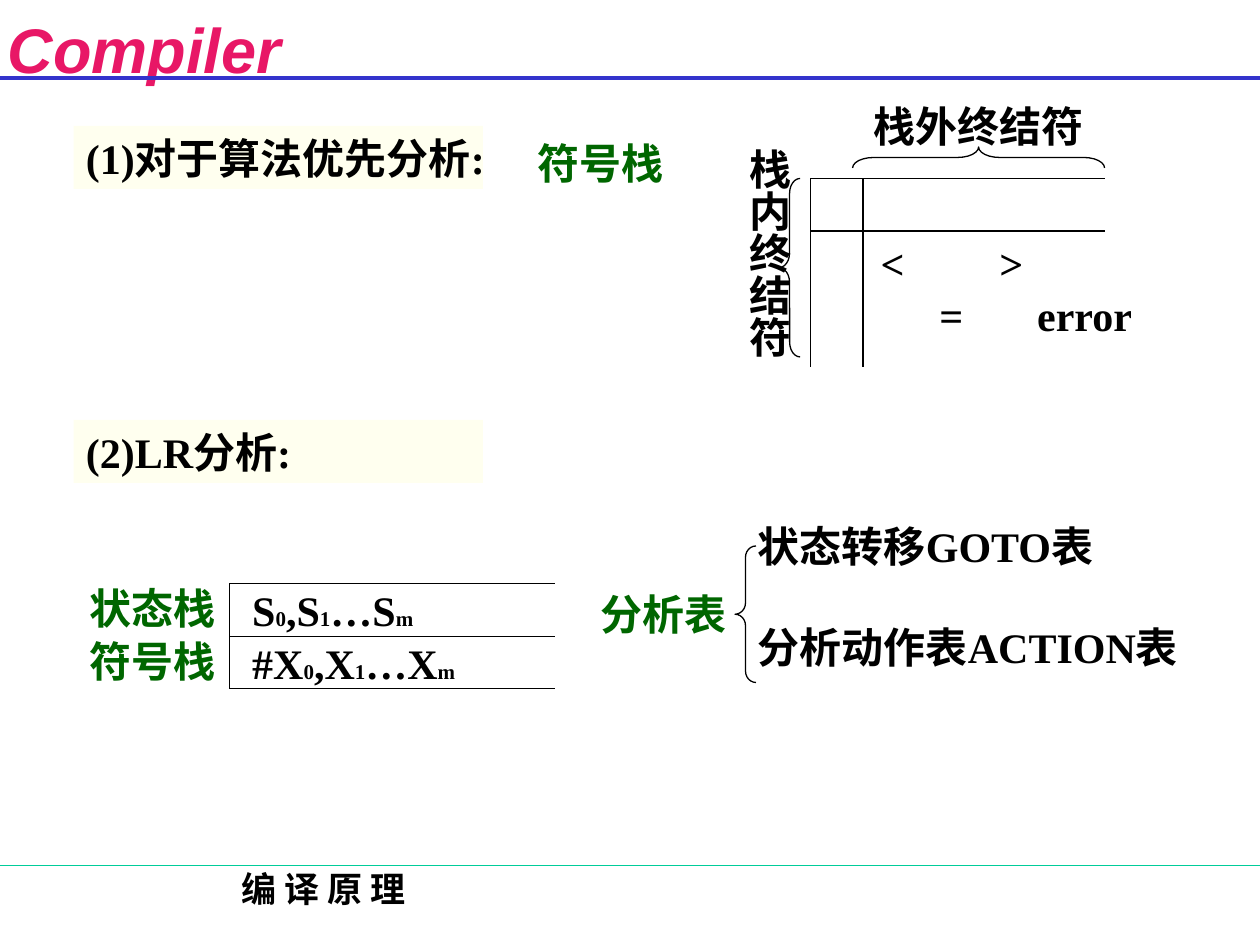
from pptx import Presentation
from pptx.dml.color import RGBColor
from pptx.enum.shapes import MSO_CONNECTOR as Connector, MSO_SHAPE as Shape
from pptx.enum.text import MSO_ANCHOR as Anchor, PP_ALIGN as Align
from pptx.oxml.ns import qn
from pptx.util import Inches, Pt
from lxml.etree import SubElement

COLORS = {
    "title": "E81766", "rule": "3333CC", "footer": "00CC99",
    "ink": "000000", "term": "006600", "panel": "FFFFE1",
}
WIDTH, HEIGHT = Inches(10), Inches(7.5)
COLUMNS, ROWS = 120, 90
TITLE_ONLY = 5


def color(name):
    """Return a named colour."""
    return RGBColor.from_string(COLORS[name])


def grid(left, top, width, height):
    """Turn grid columns and rows into slide lengths."""
    return (round(left * WIDTH / COLUMNS), round(top * HEIGHT / ROWS),
            round(width * WIDTH / COLUMNS), round(height * HEIGHT / ROWS))


def format_run(run, size, tint, family="Times New Roman"):
    """Give a run its bold type."""
    run.font.name, run.font.size, run.font.bold = family, Pt(size), True
    run.font.color.rgb = color(tint)


def add_label(slide, box, text, tint="ink", size=24, align=Align.LEFT,
              anchor=Anchor.MIDDLE):
    """Add a text box; text is a string or a list of (text, size) parts."""
    label = slide.shapes.add_textbox(*grid(*box))
    frame = label.text_frame
    frame.word_wrap, frame.vertical_anchor = True, anchor
    paragraph = frame.paragraphs[0]
    paragraph.alignment = align
    parts = [(text, size)] if isinstance(text, str) else text
    for part, part_size in parts:
        run = paragraph.add_run()
        run.text = part
        format_run(run, part_size, tint)
    return label


def add_panel(slide, top, text):
    """Add a heading that may run past its half-transparent panel."""
    panel = slide.shapes.add_shape(Shape.RECTANGLE, *grid(7, top, 39, 6))
    panel.shadow.inherit = False
    panel.line.fill.background()
    panel.fill.solid()
    panel.fill.fore_color.rgb = color("panel")
    tone = panel._element.spPr.find(qn("a:solidFill"))[0]
    SubElement(tone, qn("a:alpha")).set("val", "50000")
    add_label(slide, (7, top, 43, 6), text)


def add_line(slide, left, top, right, bottom, tint="ink", weight=0.75):
    """Add a straight line between two grid points."""
    line = slide.shapes.add_connector(
        Connector.STRAIGHT, *grid(left, top, right, bottom))
    line.line.color.rgb, line.line.width = color(tint), Pt(weight)
    SubElement(line._element.spPr, qn("a:effectLst"))


def add_brace(slide, box, curve, rotation=0):
    """Add an outlined left brace."""
    brace = slide.shapes.add_shape(Shape.LEFT_BRACE, *grid(*box))
    brace.adjustments[0], brace.adjustments[1] = curve, 0.5
    brace.rotation = rotation
    brace.shadow.inherit = False
    brace.fill.background()
    brace.line.color.rgb, brace.line.width = color("ink"), Pt(0.75)


def add_frame(slide):
    """Add the title, the two full-width rules and the footer."""
    title = slide.shapes.title
    title.left, title.top, title.width, title.height = grid(0, 0.4, 27.5, 7.4)
    frame = title.text_frame
    frame.text = "Compiler"
    frame.margin_left = frame.margin_right = 0
    frame.word_wrap, frame.vertical_anchor = True, Anchor.TOP
    frame.paragraphs[0].alignment = Align.CENTER
    run = frame.paragraphs[0].runs[0]
    format_run(run, 36, "title", "Arial")
    run.font.italic = True
    add_line(slide, 0, 7.44, COLUMNS, 7.44, "rule", 2.25)
    add_line(slide, 0, 82.44, COLUMNS, 82.44, "footer")
    add_label(slide, (6, 82, 49.7, 6), "编 译 原 理", size=20,
              align=Align.CENTER, anchor=Anchor.TOP)


def add_precedence_matrix(slide):
    """Add the operator precedence table with its braces."""
    left, right, top, bottom = 77.2, 105.2, 17, 35
    for row in (top, top + 5):
        add_line(slide, left, row, right, row)
    for column in (left, left + 5):
        add_line(slide, column, top, column, bottom)
    for column, row, width, text in ((82.7, 22, 6, "<"), (94, 22, 6, ">"),
                                     (88.3, 27, 6, "="),
                                     (97.6, 27, 15, "error")):
        add_label(slide, (column, row, width, 6), text)
    add_brace(slide, (74.2, top, 2, 17), 0.71)
    add_brace(slide, (92.2, 3, 2, 24), 1, 90)
    side = add_label(slide, (69, 13, 7.2, 24), "栈内终结符",
                     align=Align.CENTER, anchor=Anchor.TOP)
    side.text_frame._txBody.bodyPr.set("vert", "eaVert")
    add_label(slide, (80.2, 9, 26, 6), "栈外终结符",
              align=Align.CENTER, anchor=Anchor.TOP)


def add_stacks(slide):
    """Add the state and symbol stacks, one row each."""
    left, right, top, step = 21.84, 52.84, 55.6, 5
    for index in range(3):
        row = top + index * step
        add_line(slide, left, row, right, row)
    add_line(slide, left, top, left, top + 2 * step)
    stacks = (("状态栈", "S", "S"), ("符号栈", "#X", "X"))
    for index, (name, first, letter) in enumerate(stacks):
        row = top + index * step
        add_label(slide, (7.3, row - 0.2, 15, step), name, "term")
        add_label(slide, (left + 1, row, 28, step), [
            (first, 24), ("0", 12), (f",{letter}", 24), ("1", 12),
            (f"…{letter}", 24), ("m", 12)])


def add_parsing_tables(slide):
    """Add the two kinds of parsing table joined by a brace."""
    add_label(slide, (56, 56, 15, 5), "分析表", "term")
    add_brace(slide, (70, 52, 2, 13), 0.54)
    add_label(slide, (71, 49, 46, 6), "状态转移GOTO表")
    add_label(slide, (71, 58.6, 46, 6), "分析动作表ACTION表")


def main():
    """Build and save the slide."""
    presentation = Presentation()
    presentation.slide_width, presentation.slide_height = WIDTH, HEIGHT
    slide = presentation.slides.add_slide(
        presentation.slide_layouts[TITLE_ONLY])
    add_frame(slide)
    add_panel(slide, 12, "(1)对于算法优先分析:")
    add_label(slide, (50, 13, 15, 5), "符号栈", "term")
    add_precedence_matrix(slide)
    add_panel(slide, 40, "(2)LR分析:")
    add_stacks(slide)
    add_parsing_tables(slide)
    presentation.save("out.pptx")


if __name__ == "__main__":
    main()
